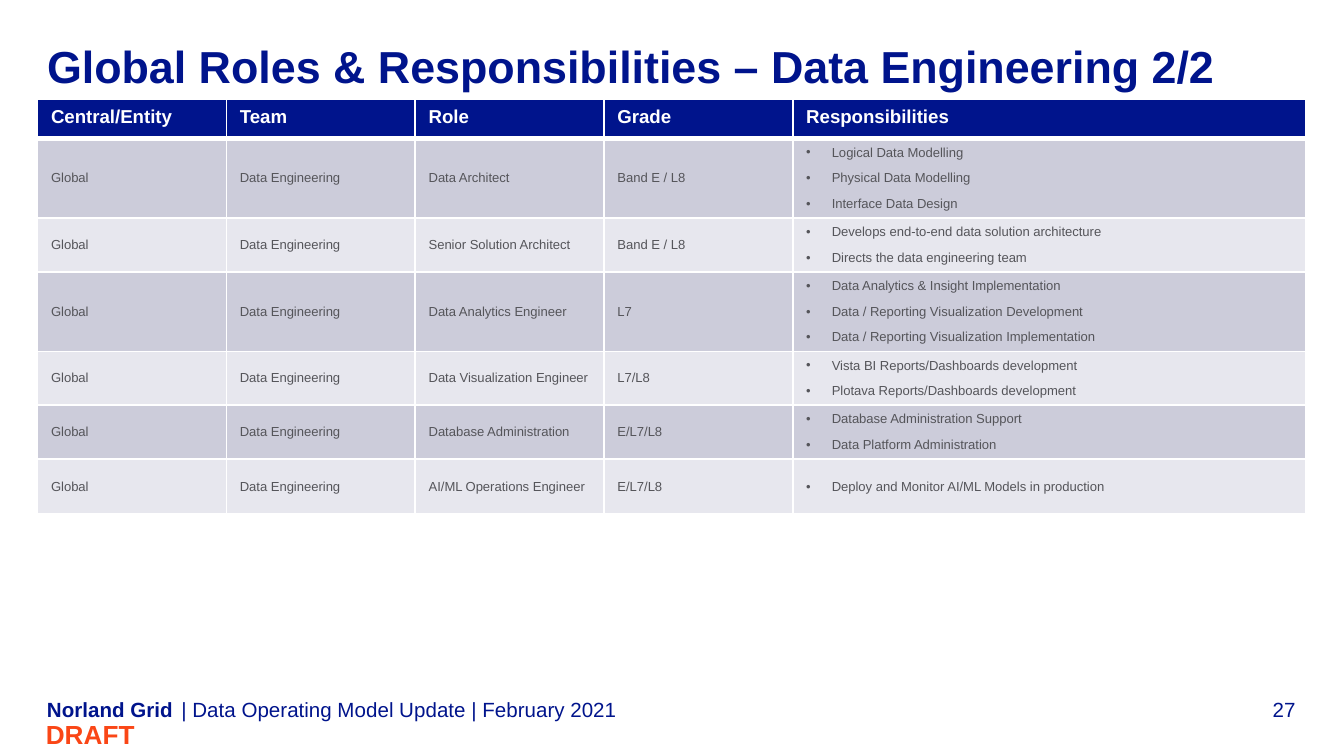
"""Build the Data Engineering roles and responsibilities slide."""
from dataclasses import dataclass
from typing import Any

import lxml.etree
import pptx
import pptx.dml.color
import pptx.enum.text
import pptx.oxml.ns
import pptx.util

Inches = pptx.util.Inches
Pt = pptx.util.Pt
Anchor = pptx.enum.text.MSO_ANCHOR
Align = pptx.enum.text.PP_ALIGN

NAVY, WHITE, GREY, ORANGE = "00148C", "FFFFFF", "55555A", "FA4616"
BANDS = ("CCCCDA", "E7E7EE")
HEADINGS = ("Central/Entity", "Team", "Role", "Grade", "Responsibilities")
TABLE_WIDTH, DUTIES_WIDTH = 9.44, 3.82
COLUMN_WIDTHS = (*[(TABLE_WIDTH - DUTIES_WIDTH) / 4] * 4, DUTIES_WIDTH)
HEADING_HEIGHT = 0.29


@dataclass(frozen=True)
class Role:
    name: str
    grade: str
    duties: tuple[str, ...]
    height: float


@dataclass(frozen=True)
class Label:
    text: str
    box: tuple[float, float, float, float]
    size: float
    color: str = NAVY
    bold: bool = False
    align: Any = Align.LEFT
    anchor: Any = Anchor.BOTTOM
    margins: tuple[float, float] = (0, 0)


ROLES = (
    Role("Data Architect", "Band E / L8",
         ("Logical Data Modelling", "Physical Data Modelling", "Interface Data Design"), 0.59),
    Role("Senior Solution Architect", "Band E / L8",
         ("Develops end-to-end data solution architecture", "Directs the data engineering team"), 0.4),
    Role("Data Analytics Engineer", "L7",
         ("Data Analytics & Insight Implementation", "Data / Reporting Visualization Development",
          "Data / Reporting Visualization Implementation"), 0.59),
    Role("Data Visualization Engineer", "L7/L8",
         ("Vista BI Reports/Dashboards development", "Plotava Reports/Dashboards development"), 0.4),
    Role("Database Administration", "E/L7/L8",
         ("Database Administration Support", "Data Platform Administration"), 0.4),
    Role("AI/ML Operations Engineer", "E/L7/L8",
         ("Deploy and Monitor AI/ML Models in production",), 0.41),
)

LABELS = (
    Label("27", (9.06, 5.18, 0.58, 0.19), 11, align=Align.RIGHT),
    Label("Norland Grid", (0.35, 5.18, 1, 0.19), 11, bold=True),
    Label("Global Roles & Responsibilities – Data Engineering 2/2",
          (0.35, 0.29, 9.29, 0.47), 24, bold=True, anchor=Anchor.TOP),
    Label("| Data Operating Model Update | February 2021", (1.35, 5.18, 7.87, 0.19), 11),
    Label("DRAFT", (0.02, 5.3, 1.08, 0.33), 14, ORANGE, True, Align.RIGHT,
          Anchor.MIDDLE, (0.1, 0.05)),
)


def rgb(color: str) -> pptx.dml.color.RGBColor:
    """Turn a hex string into a colour."""
    return pptx.dml.color.RGBColor.from_string(color)


def apply(target: Any, values: dict[str, Any]) -> None:
    """Set each named format value on the target."""
    for name, value in values.items():
        setattr(target, name, value)


def add_xml(parent: Any, tag: str, **attributes: str) -> Any:
    """Append a drawing element to the parent."""
    return lxml.etree.SubElement(parent, pptx.oxml.ns.qn(tag), attributes)


def write(paragraph: Any, text: str, size: float, color: str, bold: bool) -> None:
    """Write one run of formatted text."""
    run = paragraph.add_run()
    run.text = text
    apply(run.font, {"name": "Arial", "size": Pt(size), "bold": bold})
    run.font.color.rgb = rgb(color)


def add_bullet(paragraph: Any) -> None:
    """Give the paragraph a hanging bullet."""
    properties = paragraph._p.get_or_add_pPr()
    indent = Inches(0.19)
    properties.set("marL", str(indent))
    properties.set("indent", str(-indent))
    bullet_color = add_xml(properties, "a:buClr")
    add_xml(bullet_color, "a:srgbClr", val=GREY)
    add_xml(properties, "a:buFont", typeface="Arial")
    add_xml(properties, "a:buChar", char="•")


def add_borders(cell: Any, bottom: float) -> None:
    """Draw white borders around a cell."""
    properties = cell._tc.get_or_add_tcPr()
    for side, width in {"L": 1, "R": 1, "T": 1, "B": bottom}.items():
        line = add_xml(properties, f"a:ln{side}", w=str(Pt(width)))
        add_xml(add_xml(line, "a:solidFill"), "a:srgbClr", val=WHITE)


def fill_cell(cell: Any, lines: tuple[str, ...], fill: str, heading: bool = False,
              bulleted: bool = False) -> None:
    """Style a cell and write its lines."""
    add_borders(cell, 3 if heading else 1)
    cell.fill.solid()
    cell.fill.fore_color.rgb = rgb(fill)
    cell.vertical_anchor = Anchor.TOP if heading else Anchor.MIDDLE
    size, color = (10, WHITE) if heading else (7, GREY)
    for index, line in enumerate(lines):
        paragraph = cell.text_frame.add_paragraph() if index else cell.text_frame.paragraphs[0]
        if bulleted:
            add_bullet(paragraph)
        paragraph.space_after = Pt(6)
        write(paragraph, line, size, color, heading)


def add_roles_table(slide: Any) -> None:
    """Draw the table of roles."""
    heights = (HEADING_HEIGHT, *(role.height for role in ROLES))
    roles_table = slide.shapes.add_table(
        len(heights), len(HEADINGS), Inches(0.28), Inches(0.74),
        Inches(TABLE_WIDTH), Inches(sum(heights))).table
    for column, width in zip(roles_table.columns, COLUMN_WIDTHS):
        column.width = Inches(width)
    for row, height in zip(roles_table.rows, heights):
        row.height = Inches(height)
    for column, heading in enumerate(HEADINGS):
        fill_cell(roles_table.cell(0, column), (heading,), NAVY, heading=True)
    for row, role in enumerate(ROLES, start=1):
        band = BANDS[(row - 1) % 2]
        entries = ("Global", "Data Engineering", role.name, role.grade)
        for column, entry in enumerate(entries):
            fill_cell(roles_table.cell(row, column), (entry,), band)
        fill_cell(roles_table.cell(row, len(entries)), role.duties, band, bulleted=True)


def add_label(slide: Any, label: Label) -> None:
    """Draw one text label."""
    frame = slide.shapes.add_textbox(*map(Inches, label.box)).text_frame
    side, end = map(Inches, label.margins)
    apply(frame, {"word_wrap": True, "vertical_anchor": label.anchor,
                  "margin_left": side, "margin_right": side,
                  "margin_top": end, "margin_bottom": end})
    paragraph = frame.paragraphs[0]
    paragraph.alignment = label.align
    write(paragraph, label.text, label.size, label.color, label.bold)


def main() -> None:
    """Build and save the slide."""
    deck = pptx.Presentation()
    width = Inches(10)
    apply(deck, {"slide_width": width, "slide_height": width * 9 // 16})
    slide = deck.slides.add_slide(deck.slide_layouts[6])
    add_roles_table(slide)
    for label in LABELS:
        add_label(slide, label)
    deck.save("out.pptx")


if __name__ == "__main__":
    main()
